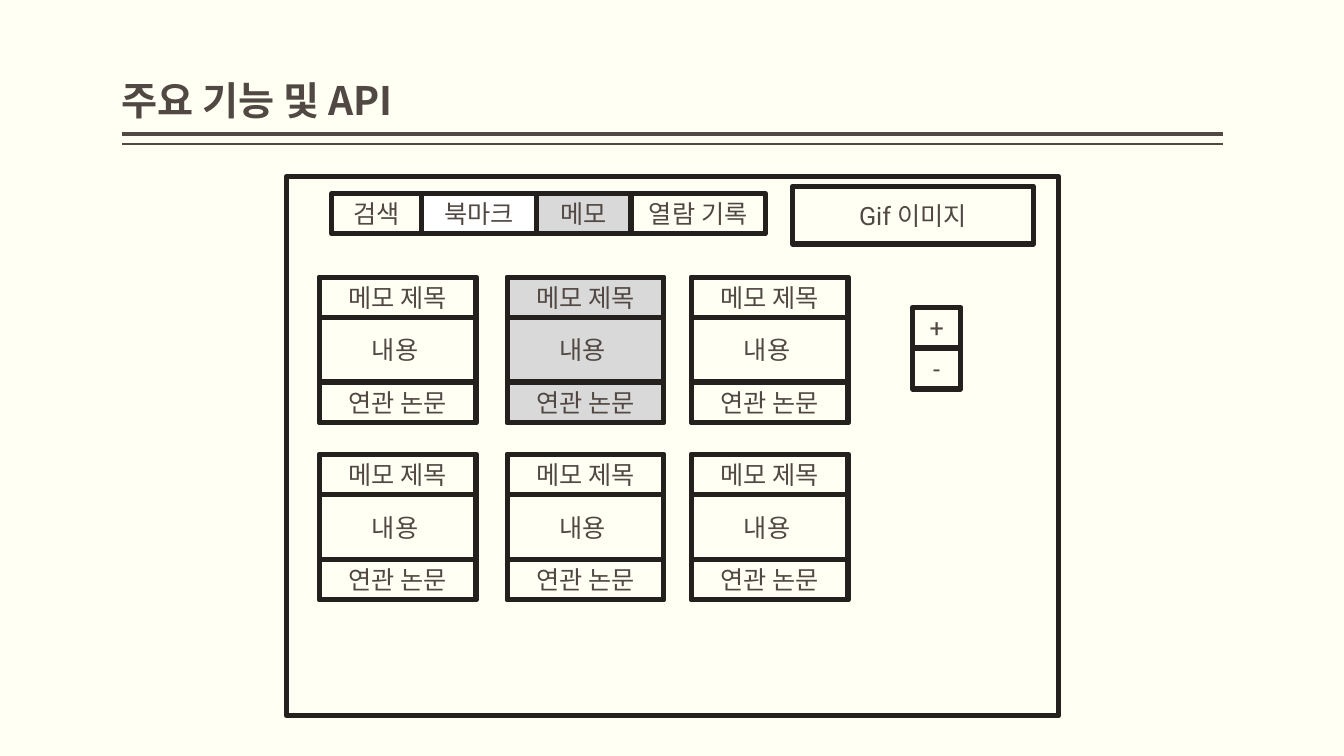
from lxml import etree
from pptx import Presentation
from pptx.dml.color import RGBColor
from pptx.enum.shapes import MSO_CONNECTOR as CONN, MSO_SHAPE as SHAPE
from pptx.enum.text import MSO_ANCHOR as ANCHOR, MSO_AUTO_SIZE as AUTO, PP_ALIGN as ALIGN
from pptx.oxml.ns import qn
from pptx.util import Inches, Pt

CREAM = RGBColor(0xFF, 0xFF, 0xF3)
BROWN = RGBColor(0x51, 0x48, 0x43)
INK = RGBColor(0x24, 0x20, 0x1D)
GRAY = RGBColor(0xD9, 0xD9, 0xD9)
WHITE = RGBColor(0xFF, 0xFF, 0xFF)
LATIN, KOREAN = "Roboto", "Noto Sans CJK KR"

ROW = 0.4  # height of every labelled strip
MEMO_W, MEMO_H = 1.55, 1.44
MEMO_LEFTS = (3.17, 5.03, 6.86)
MEMO_TOPS = (2.75, 4.51)
SELECTED = (0, 1)  # row and column of the highlighted memo


def write(tf, text, size=18, font=LATIN, bold=False):
    tf.text = text
    p = tf.paragraphs[0]
    r = p.runs[0]
    r.font.name, r.font.size, r.font.bold = font, Pt(size), bold
    r.font.color.rgb = BROWN
    etree.SubElement(r.font._element, qn("a:ea")).set("typeface", KOREAN)
    return p


def add_box(s, x, y, w, h, text="", fill=None):
    sp = s.shapes.add_shape(SHAPE.RECTANGLE, *map(Inches, (x, y, w, h)))
    sp.shadow.inherit = False
    sp.line.color.rgb, sp.line.width = INK, Pt(3.78)
    if fill is None:
        sp.fill.background()
    else:
        sp.fill.solid()
        sp.fill.fore_color.rgb = fill
    if text:
        sp.text_frame.vertical_anchor = ANCHOR.MIDDLE
        write(sp.text_frame, text).alignment = ALIGN.CENTER


def add_header(s, x, y, w, h):
    """Title above a thick and a thin rule."""
    tf = s.shapes.add_textbox(*map(Inches, (x, y, w, h))).text_frame
    tf.word_wrap = True
    tf.vertical_anchor = ANCHOR.BOTTOM
    tf.margin_left = tf.margin_right = 0
    write(tf, "주요 기능 및 API", 28, KOREAN, True).line_spacing = 0.9
    for gap, width in ((0.05, 3), (0.15, 1)):
        rule_y = Inches(y + h + gap)
        rule = s.shapes.add_connector(CONN.STRAIGHT, Inches(x + w), rule_y, Inches(x), rule_y)
        rule.line.color.rgb, rule.line.width = BROWN, Pt(width)
        etree.SubElement(rule._element.spPr, qn("a:effectLst"))


def add_tabs(s, x, y):
    tabs = (("검색", 0.89, None), ("북마크", 1.14, WHITE),
            ("메모", 0.94, GRAY), ("열람 기록", 1.33, None))
    for text, w, fill in tabs:
        add_box(s, x, y, w, ROW, text, fill)
        x += w


def add_memo(s, x, y, fill):
    add_box(s, x, y, MEMO_W, MEMO_H, fill=fill)
    add_box(s, x, y, MEMO_W, ROW, "메모 제목", fill)
    add_box(s, x, y + MEMO_H - ROW, MEMO_W, ROW, "연관 논문", fill)
    w = 0.71
    body = (x + (MEMO_W - w) / 2, y + (MEMO_H - ROW) / 2, w, ROW)
    tf = s.shapes.add_textbox(*map(Inches, body)).text_frame
    tf.word_wrap = False
    tf.auto_size = AUTO.SHAPE_TO_FIT_TEXT
    write(tf, "내용")


def add_memo_grid(s):
    for i, y in enumerate(MEMO_TOPS):
        for j, x in enumerate(MEMO_LEFTS):
            add_memo(s, x, y, GRAY if (i, j) == SELECTED else None)


def add_stepper(s, x, y):
    for i, sign in enumerate("+-"):
        add_box(s, x, y + i * 0.41, 0.48, ROW, sign)


def main():
    prs = Presentation()
    prs.slide_width, prs.slide_height = Inches(13.33), Inches(7.5)
    s = prs.slides.add_slide(prs.slide_layouts[6])
    s.background.fill.solid()
    s.background.fill.fore_color.rgb = CREAM
    add_header(s, 1.21, 0.08, 10.92, 1.2)
    add_box(s, 2.84, 1.75, 7.66, 5.35)
    add_tabs(s, 3.29, 1.92)
    add_box(s, 7.86, 1.85, 2.39, 0.57, "Gif 이미지")
    add_memo_grid(s)
    add_stepper(s, 9.05, 3.05)
    prs.save("out.pptx")


if __name__ == "__main__":
    main()
